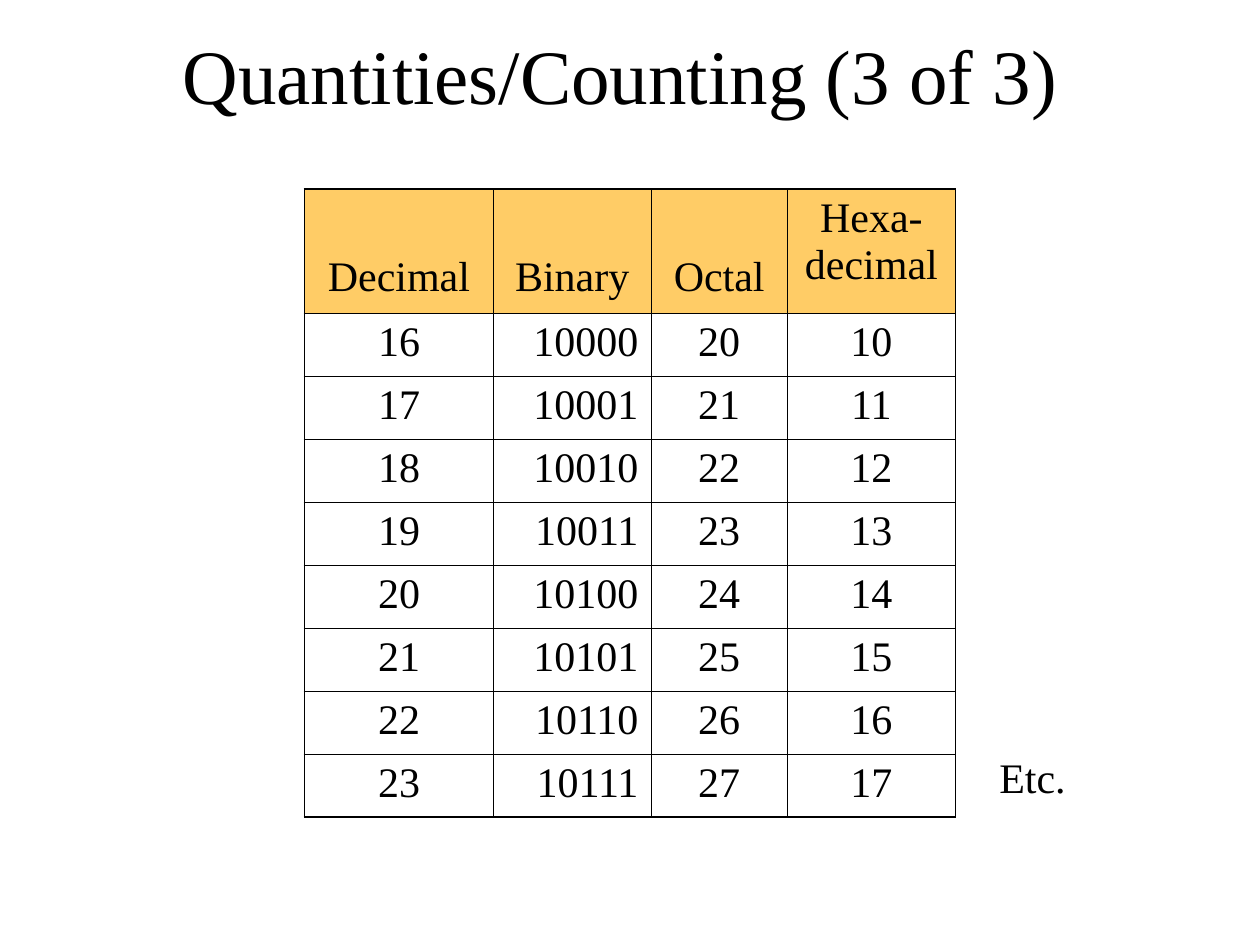
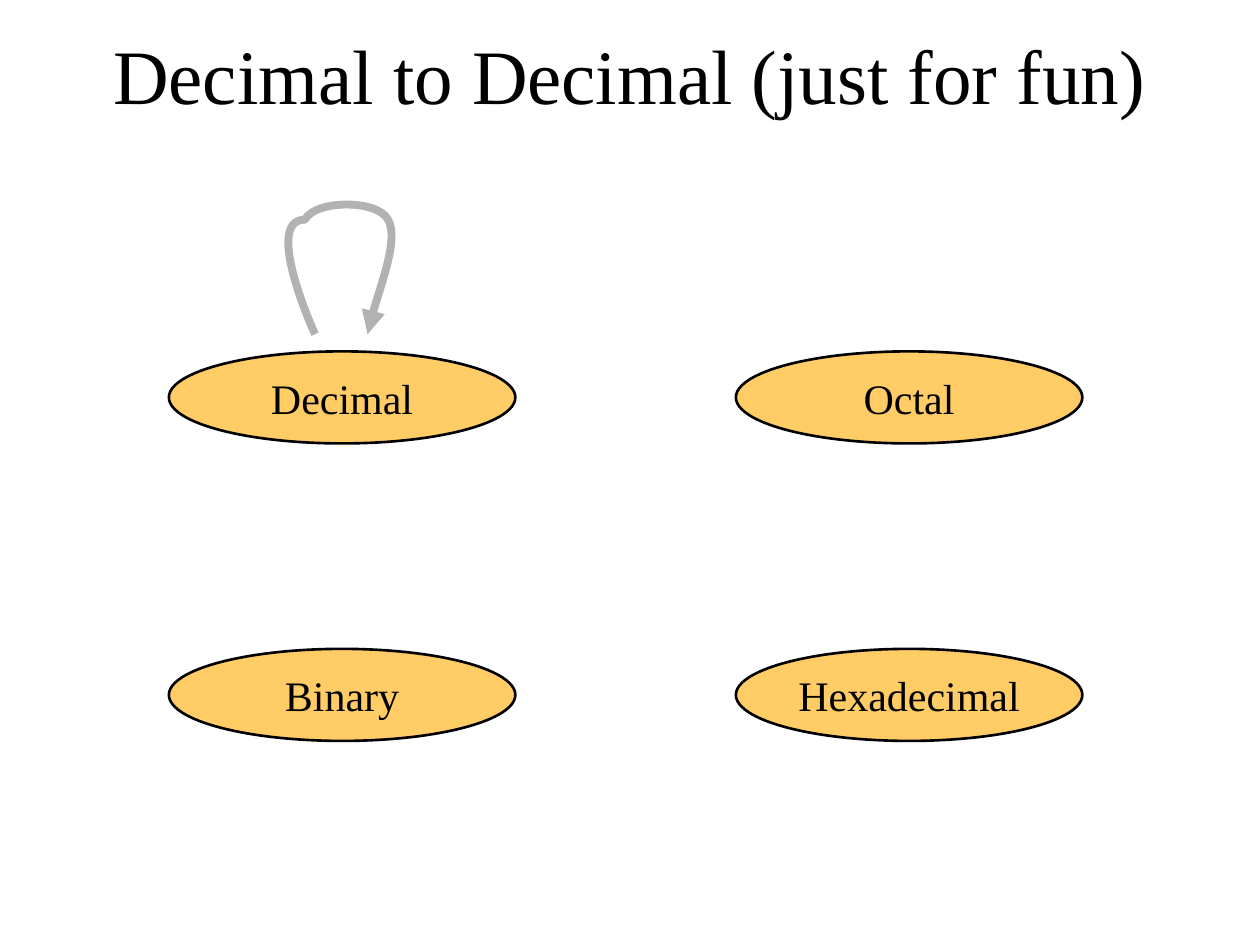
from dataclasses import dataclass

from lxml import etree
from pptx import Presentation
from pptx.dml.color import RGBColor
from pptx.enum.shapes import MSO_SHAPE
from pptx.enum.text import MSO_ANCHOR, MSO_AUTO_SIZE, PP_ALIGN
from pptx.oxml.ns import qn
from pptx.util import Pt

OVAL = MSO_SHAPE.OVAL
TOP, MIDDLE = MSO_ANCHOR.TOP, MSO_ANCHOR.MIDDLE
NO_FIT = MSO_AUTO_SIZE.NONE
LEFT, CENTER, RIGHT = PP_ALIGN.LEFT, PP_ALIGN.CENTER, PP_ALIGN.RIGHT


@dataclass(frozen=True)
class Theme:
    ink: str = "000000"
    paper: str = "FFFFFF"
    gold: str = "FFCC66"
    gray: str = "B2B2B2"
    font: str = "Times New Roman"
    head: float = 44
    body: float = 24
    thin: float = 0.45
    edge: float = 1.08
    rim: float = 1.5
    loop: float = 4.5


THEME = Theme()
TITLE = (54, 12, 612, 60)


def rgb(code):
    return RGBColor.from_string(code)


def pts(*nums):
    return [Pt(n) for n in nums]


def write(frame, text, size=THEME.body, align=LEFT, anchor=TOP):
    """Fill a frame with one paragraph; a newline becomes a line break."""
    frame.vertical_anchor = anchor
    para = frame.paragraphs[0]
    para.alignment = align
    for i, line in enumerate(text.split("\n")):
        if i:
            para.add_line_break()
        run = para.add_run()
        run.text = line
        run.font.size = Pt(size)
        run.font.name = THEME.font
        run.font.color.rgb = rgb(THEME.ink)


def start(deck, text):
    """Add a slide with its title in place."""
    slide = deck.slides.add_slide(deck.slide_layouts[5])
    slide.background.fill.solid()
    slide.background.fill.fore_color.rgb = rgb(THEME.paper)
    title = slide.shapes.title
    title.left, title.top, title.width, title.height = pts(*TITLE)
    frame = title.text_frame
    frame.word_wrap = True
    frame.auto_size = NO_FIT
    write(frame, text, THEME.head, CENTER, MIDDLE)
    return slide


def rule(cell, side, width):
    """Draw one border of a cell; side is L, R, T or B."""
    props = cell._tc.get_or_add_tcPr()
    line = etree.SubElement(props, qn(f"a:ln{side}"), w=str(int(Pt(width))))
    fill = etree.SubElement(line, qn("a:solidFill"))
    etree.SubElement(fill, qn("a:srgbClr"), val=THEME.ink)


def table(slide, box, heads, rows, widths, tall):
    """Place a ruled table whose first row has the height tall."""
    x, y, w, h = box
    grid = slide.shapes.add_table(len(rows) + 1, len(heads), *pts(x, y, w, h)).table
    grid.first_row = grid.horz_banding = False
    for col, width in zip(grid.columns, widths):
        col.width = Pt(width)
    for i, row in enumerate(grid.rows):
        row.height = Pt((h - tall) / len(rows) if i else tall)
    last, end = len(rows), len(heads) - 1
    for i, texts in enumerate([heads, *rows]):
        for j, text in enumerate(texts):
            cell = grid.cell(i, j)
            outer = {"L": j == 0, "R": j == end, "T": i == 0, "B": i == last}
            for side, out in outer.items():
                rule(cell, side, THEME.edge if out else THEME.thin)
            if i:
                cell.fill.background()
            else:
                cell.fill.solid()
                cell.fill.fore_color.rgb = rgb(THEME.gold)
                if "\n" not in text:
                    cell.margin_top = Pt(37.2)
            write(cell.text_frame, text, align=RIGHT if i and j == 1 else CENTER)
            cell.vertical_anchor = TOP


def note(slide, box, text):
    frame = slide.shapes.add_textbox(*pts(*box)).text_frame
    frame.word_wrap = False
    write(frame, text)


def node(slide, box, text):
    oval = slide.shapes.add_shape(OVAL, *pts(*box))
    oval.shadow.inherit = False
    oval.fill.solid()
    oval.fill.fore_color.rgb = rgb(THEME.gold)
    oval.line.color.rgb = rgb(THEME.ink)
    oval.line.width = Pt(THEME.rim)
    oval.text_frame.word_wrap = False
    write(oval.text_frame, text, align=CENTER, anchor=MIDDLE)


def nodes(slide, box, rows, size):
    """Spread rows of ovals evenly over a box, corner to corner."""
    x, y, w, h = box
    wide, high = size
    for i, row in enumerate(rows):
        for j, text in enumerate(row):
            left = x + j * (w - wide) / (len(row) - 1)
            top = y + i * (h - high) / (len(rows) - 1)
            node(slide, (left, top, wide, high), text)


def loop(slide, box):
    """Draw a curved arrow that leaves and re-enters the node below it."""
    x, y, w, h = box
    knots = [(0.385, 1), (0.385, 1), (0, 0.15), (0.31, 0.15),
             (0.39, 0), (0.845, 0), (0.92, 0.15),
             (1, 0.29), (0.8, 0.82), (0.77, 1)]
    spots = [pts(x + a * w, y + b * h) for a, b in knots]
    pen = slide.shapes.build_freeform(*spots[0])
    pen.add_line_segments(spots[1:], close=False)
    curve = pen.convert_to_shape()
    curve.shadow.inherit = False
    curve.fill.background()
    curve.line.color.rgb = rgb(THEME.gray)
    curve.line.width = Pt(THEME.loop)
    etree.SubElement(curve.line._get_or_add_ln(), qn("a:tailEnd"), type="triangle")
    # Each three straight steps become the control points of one curve.
    trace = next(curve._element.iter(qn("a:path")))
    steps = trace.findall(qn("a:lnTo"))
    for i in range(0, len(steps), 3):
        bend = etree.SubElement(trace, qn("a:cubicBezTo"))
        for step in steps[i:i + 3]:
            bend.append(step[0])
            trace.remove(step)


def counts(deck):
    slide = start(deck, "Quantities/Counting (3 of 3) ")
    heads = ["Decimal", "Binary", "Octal", "Hexa-\ndecimal"]
    rows = [[format(n, base) for base in "dbox"] for n in range(16, 24)]
    table(slide, (174, 108, 372, 358.8), heads, rows, (108, 90, 78, 96), 70.8)
    note(slide, (564, 426, 52.6, 36), "Etc.")


def bases(deck):
    slide = start(deck, "Decimal to Decimal (just for fun)")
    rows = [("Decimal", "Octal"), ("Binary", "Hexadecimal")]
    nodes(slide, (96.5, 200.8, 522, 222.6), rows, (198, 52.6))
    loop(slide, (150, 114, 78, 77))


def main():
    deck = Presentation()
    deck.slide_width, deck.slide_height = pts(720, 540)
    counts(deck)
    bases(deck)
    deck.save("out.pptx")


if __name__ == "__main__":
    main()
